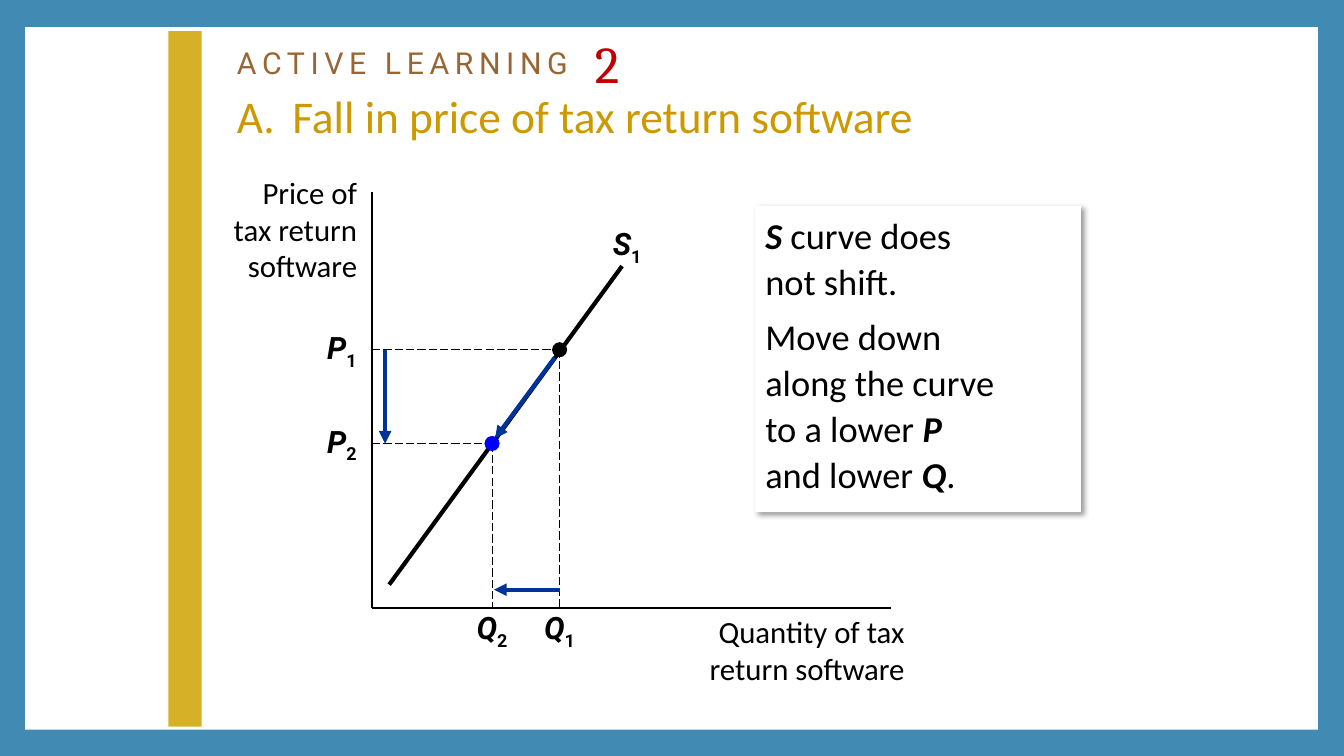
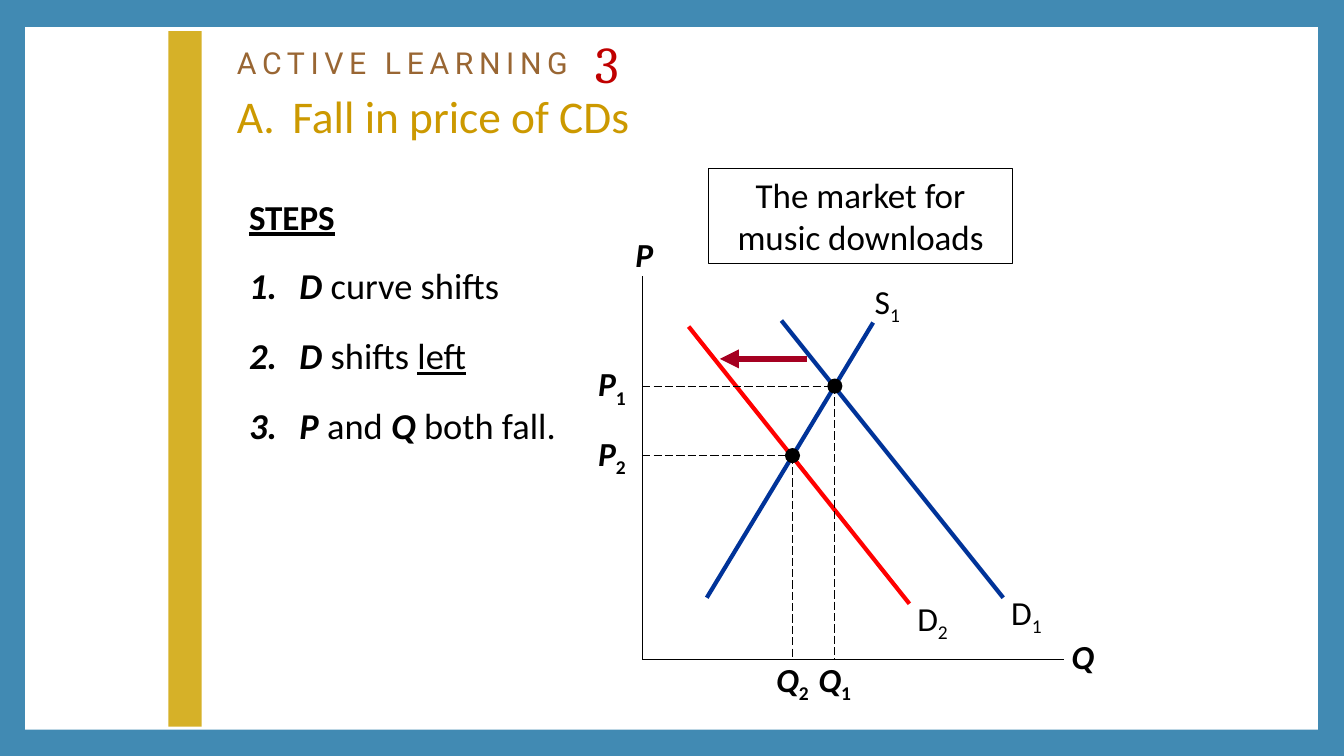
from lxml.etree import SubElement
from pptx import Presentation
from pptx.dml.color import RGBColor
from pptx.enum.dml import MSO_LINE
from pptx.enum.shapes import MSO_CONNECTOR, MSO_SHAPE
from pptx.enum.text import MSO_ANCHOR, MSO_AUTO_SIZE, PP_ALIGN
from pptx.oxml.ns import qn
from pptx.util import Inches, Pt

BLUE, WHITE, GOLD, BLACK = "418AB3", "FFFFFF", "D6B128", "000000"
NAVY, RED, CRIMSON = "003399", "FF0000", "A50021"
BROWN, DIGIT_RED, TITLE_GOLD = "996633", "C00000", "CC9900"
TITLE_BOX = (2.25, 0.17, 8.98, 1.04)
TITLE_TABS = (0.55, 3.55)
DOT = 0.15

# Run styles: b bold, i italic, u underlined, s subscript.
# Points: x, y, number, dot colour. Curves: from, to, colour.
# Arrows: from, to, colour, width. Labels: centre, letter, subscript, style.
# Captions: box, text, size, alignment, framed.
SLIDES = [
    {
        "number": "2",
        "title": "A.\tFall in price of tax return software",
        "body_box": (7.49, 2.04, 3.23, 3.04),
        "card": True,
        "space": 7,
        "body": [
            {"runs": [("S", "bi"), (" curve does\nnot shift.", "")]},
            {"runs": [("Move down\nalong the curve\nto a lower ", ""), ("P", "bi"),
                      ("\nand lower ", ""), ("Q", "bi"), (".", "")]},
        ],
        "origin": (3.69, 6.03), "axis_top": 1.9, "axis_right": 8.84,
        "label_font": ("Roboto", 22),
        "points": [(5.55, 3.47, "1", BLACK), (4.88, 4.4, "2", "0000FF")],
        "curves": [((6.17, 2.64), (3.86, 5.8), BLACK)],
        "arrows": [
            ((5.55, 5.85), (4.9, 5.85), NAVY, 3),
            ((3.82, 3.47), (3.82, 4.4), NAVY, 3),
            ((5.5, 3.55), (4.91, 4.35), NAVY, 3),
        ],
        "labels": [((6.22, 2.44), "S", "1", "bi")],
        "captions": [
            ((2.1, 1.67, 1.54, 1.21), "Price of tax return software", 22, PP_ALIGN.RIGHT, False),
            ((6.65, 6.03, 2.42, 0.83), "Quantity of tax return software", 22, PP_ALIGN.RIGHT, False),
        ],
    },
    {
        "number": "3",
        "title": "A.\tFall in price of CDs",
        "body_box": (2.37, 1.87, 3.37, 3.13),
        "card": False,
        "space": 17,
        "body": [
            {"runs": [("STEPS", "bu")], "size": 25},
            {"runs": [("D", "bi"), (" curve shifts", "")], "numbered": True},
            {"runs": [("D", "bi"), (" shifts ", ""), ("left", "u")], "numbered": True},
            {"runs": [("P", "bi"), (" and ", ""), ("Q", "bi"), (" both fall.", "")],
             "numbered": True},
        ],
        "origin": (6.37, 6.54), "axis_top": 2.74, "axis_right": 10.55,
        "label_font": ("Calibri", 24),
        "points": [(8.28, 3.83, "1", BLACK), (7.86, 4.52, "2", BLACK)],
        "curves": [
            ((7.75, 3.18), (9.95, 5.93), NAVY),
            ((7.01, 5.93), (8.66, 3.2), NAVY),
            ((6.83, 3.24), (9.02, 5.99), RED),
        ],
        "arrows": [((8, 3.56), (7.14, 3.56), CRIMSON, 4.5)],
        "labels": [
            ((6.39, 2.52), "P", "", "bi"),
            ((10.74, 6.51), "Q", "", "bi"),
            ((10.18, 6.1), "D", "1", ""),
            ((9.25, 6.16), "D", "2", ""),
            ((8.8, 3.01), "S", "1", ""),
        ],
        "captions": [
            ((7.03, 1.67, 3.01, 0.94), "The market for music downloads", 25, PP_ALIGN.CENTER, True),
        ],
    },
]


def color(value):
    return RGBColor.from_string(value)


def inches(values):
    return [Inches(value) for value in values]


def paint(shape, value):
    shape.fill.solid()
    shape.fill.fore_color.rgb = color(value)


def add_span(para, text, size, font="Calibri", value=BLACK, style=""):
    """Add text to a paragraph; each newline becomes a line break."""
    for index, piece in enumerate(text.split("\n")):
        if index:
            para.add_line_break()
        if not piece:
            continue
        span = para.add_run()
        span.text = piece
        span.font.name, span.font.size = font, Pt(size)
        span.font.color.rgb = color(value)
        span.font.bold, span.font.italic = "b" in style, "i" in style
        if "u" in style:
            span.font.underline = True
        if "s" in style:
            span._r.get_or_add_rPr().set("baseline", "-25000")
    return span


def add_block(slide, preset, box, value):
    shape = slide.shapes.add_shape(preset, *inches(box))
    shape.shadow.inherit = False
    paint(shape, value)
    shape.line.fill.background()
    return shape


def add_line(slide, start, end, value, width, dashed=False, arrow=False):
    line = slide.shapes.add_connector(MSO_CONNECTOR.STRAIGHT, *inches(start + end))
    line.line.color.rgb = color(value)
    line.line.width = Pt(width)
    if dashed:
        line.line.dash_style = MSO_LINE.LONG_DASH
    properties = line.element.spPr
    if arrow:
        SubElement(properties.find(qn("a:ln")), qn("a:tailEnd"), type="triangle")
    SubElement(properties, qn("a:effectLst"))


def add_label(slide, center, letter, subscript, style, font, size):
    width, height = 0.7, 0.5
    box = slide.shapes.add_textbox(
        *inches((center[0] - width / 2, center[1] - height / 2, width, height)))
    frame = box.text_frame
    frame.margin_left = frame.margin_right = frame.margin_top = frame.margin_bottom = 0
    frame.vertical_anchor = MSO_ANCHOR.MIDDLE
    frame.word_wrap = True
    para = frame.paragraphs[0]
    para.alignment = PP_ALIGN.CENTER
    add_span(para, letter, size, font, style=style)
    if subscript:
        add_span(para, subscript, size, font, style=style.replace("i", "") + "s")


def add_caption(slide, box, text, size, alignment, framed):
    caption = slide.shapes.add_textbox(*inches(box))
    if framed:
        paint(caption, WHITE)
        caption.line.color.rgb = color(BLACK)
        caption.line.width = Pt(0.75)
    caption.text_frame.word_wrap = True
    para = caption.text_frame.paragraphs[0]
    para.alignment = alignment
    add_span(para, text, size)


def fill_title(slide, number, text):
    frame = slide.shapes.title.text_frame
    frame.auto_size = MSO_AUTO_SIZE.NONE
    frame.vertical_anchor = MSO_ANCHOR.MIDDLE
    para = frame.paragraphs[0]
    para.alignment = PP_ALIGN.LEFT
    para.line_spacing = 0.9
    tabs = SubElement(para._p.get_or_add_pPr(), qn("a:tabLst"))
    for stop in TITLE_TABS:
        SubElement(tabs, qn("a:tab"), pos=str(Inches(stop)), algn="l")
    heading = add_span(para, "ACTIVE LEARNING\t", 21.6, "Roboto", BROWN)
    heading._r.get_or_add_rPr().set("spc", "400")
    digit = add_span(para, number, 63.9, "Cambria", DIGIT_RED)
    digit._r.get_or_add_rPr().set("baseline", "-10000")
    add_span(para, "\n" + text, 32.4, value=TITLE_GOLD)


def add_card_shadow(shape):
    effects = SubElement(shape.element.spPr, qn("a:effectLst"))
    shadow = SubElement(effects, qn("a:outerShdw"), blurRad=str(Pt(4)), dist=str(Pt(3)),
                        dir="2700000", algn="tl", rotWithShape="0")
    shade = SubElement(shadow, qn("a:srgbClr"), val=BLACK)
    SubElement(shade, qn("a:alpha"), val="40000")


def fill_body(slide, content):
    body = slide.placeholders[1]
    body.left, body.top, body.width, body.height = inches(content["body_box"])
    if content["card"]:
        paint(body, WHITE)
        add_card_shadow(body)
    frame = body.text_frame
    frame.auto_size = MSO_AUTO_SIZE.NONE
    frame.vertical_anchor = MSO_ANCHOR.TOP
    for index, item in enumerate(content["body"]):
        para = frame.add_paragraph() if index else frame.paragraphs[0]
        para.line_spacing = 1.05
        para.space_before = Pt(content["space"] if index else 0)
        numbered = item.get("numbered", False)
        indent = Inches(0.5) if numbered else 0
        properties = para._p.get_or_add_pPr()
        properties.set("marL", str(indent))
        properties.set("indent", str(-indent))
        if numbered:
            SubElement(properties, qn("a:buFont"), typeface="+mj-lt")
            SubElement(properties, qn("a:buAutoNum"), type="arabicPeriod")
        else:
            SubElement(properties, qn("a:buNone"))
        for text, style in item["runs"]:
            add_span(para, text, item.get("size", 26), style=style)


def draw_graph(slide, content):
    left, bottom = content["origin"]
    add_line(slide, (left, content["axis_top"]), (left, bottom), BLACK, 1)
    add_line(slide, (left, bottom), (content["axis_right"], bottom), BLACK, 1)
    for start, end, value in content["curves"]:
        add_line(slide, start, end, value, 3)
    for x, y, number, value in content["points"]:
        add_line(slide, (left, y), (x, y), BLACK, 0.75, dashed=True)
        add_line(slide, (x, y), (x, bottom), BLACK, 0.75, dashed=True)
    for start, end, value, width in content["arrows"]:
        add_line(slide, start, end, value, width, arrow=True)
    labels = list(content["labels"])
    for x, y, number, value in content["points"]:
        add_block(slide, MSO_SHAPE.OVAL, (x - DOT / 2, y - DOT / 2, DOT, DOT), value)
        labels.append(((left - 0.3, y), "P", number, "bi"))
        labels.append(((x, bottom + 0.22), "Q", number, "bi"))
    for label in labels:
        add_label(slide, *label, *content["label_font"])
    for caption in content["captions"]:
        add_caption(slide, *caption)


def set_up_master(deck, layout, slide):
    """Put the background, panel, band and title place where all slides inherit them."""
    master = deck.slide_master
    master.background.fill.solid()
    master.background.fill.fore_color.rgb = color(BLUE)
    blocks = [((0.25, 0.27, 12.82, 6.97), WHITE), ((1.67, 0.31, 0.33, 6.9), GOLD)]
    for index, (box, value) in enumerate(blocks):
        block = add_block(slide, MSO_SHAPE.RECTANGLE, box, value)
        master.shapes.element.insert(2 + index, block.element)
    title = layout.placeholders[0]
    title.left, title.top, title.width, title.height = inches(TITLE_BOX)


def main():
    deck = Presentation()
    deck.slide_width, deck.slide_height = Inches(13.33), Inches(7.5)
    layout = deck.slide_layouts[1]
    for index, content in enumerate(SLIDES):
        slide = deck.slides.add_slide(layout)
        if index == 0:
            set_up_master(deck, layout, slide)
        fill_title(slide, content["number"], content["title"])
        fill_body(slide, content)
        draw_graph(slide, content)
    deck.save("out.pptx")


if __name__ == "__main__":
    main()
